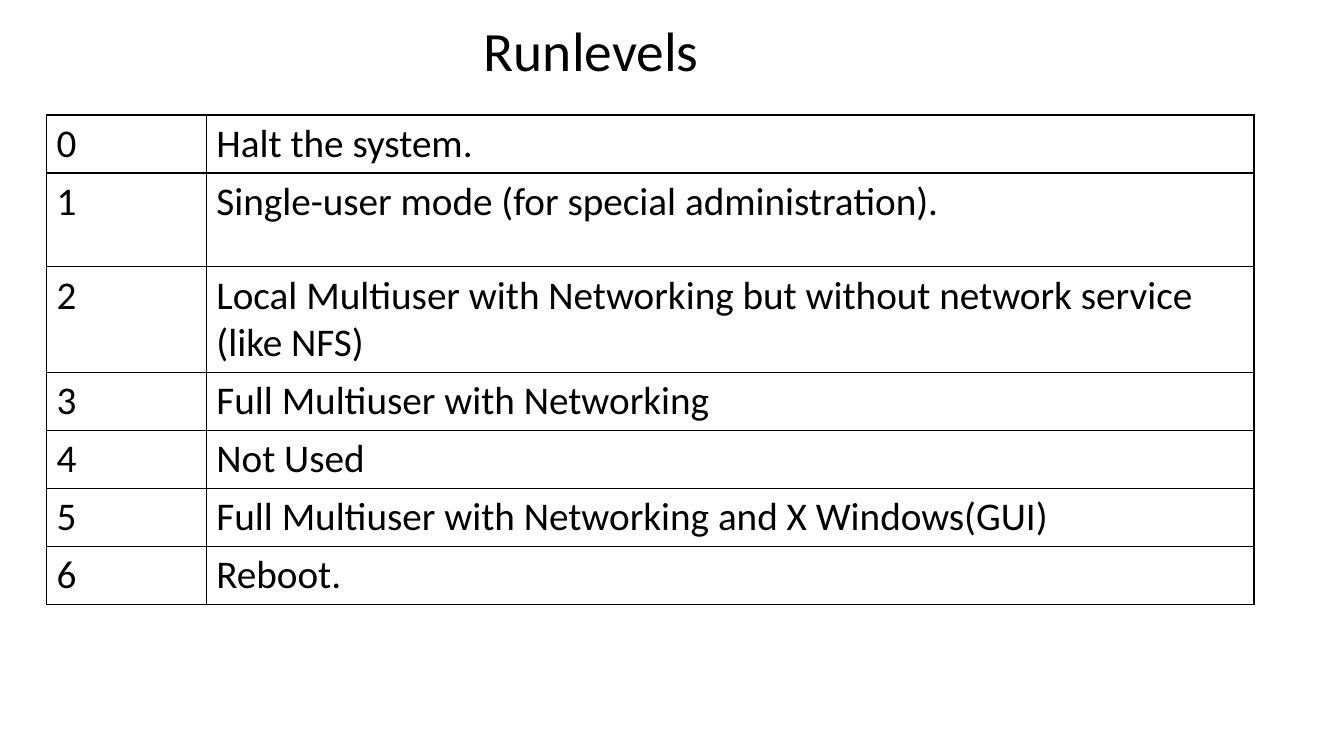
from typing import NamedTuple

from lxml.etree import SubElement
from pptx import Presentation
from pptx.dml.color import RGBColor
from pptx.enum.text import MSO_ANCHOR, PP_ALIGN
from pptx.oxml.ns import qn
from pptx.slide import Slide
from pptx.table import Table, _Cell
from pptx.text.text import _Paragraph
from pptx.util import Cm, Pt

BLACK = RGBColor(0x00, 0x00, 0x00)
TITLE_FORMAT = {"name": "Calibri", "size": Pt(39.6), "bold": False}
CELL_FORMAT = {"name": "Calibri", "size": Pt(28), "bold": False}
COLUMN_WIDTHS = (4.03, 26.4)
SINGLE, TALL, DOUBLE = 1.46, 2.36, 2.67


class Runlevel(NamedTuple):
    meaning: str
    height: float = SINGLE


RUNLEVELS = (
    Runlevel("Halt the system."),
    Runlevel("Single-user mode (for special administration).", TALL),
    Runlevel("Local Multiuser with Networking but without network service (like NFS)", DOUBLE),
    Runlevel("Full Multiuser with Networking"),
    Runlevel("Not Used"),
    Runlevel("Full Multiuser with Networking and X Windows(GUI)"),
    Runlevel("Reboot."),
)


def write(para: _Paragraph, text: str, text_format: dict) -> None:
    span = para.add_run()
    span.text = text
    for attribute, value in text_format.items():
        setattr(span.font, attribute, value)
    span.font.color.rgb = BLACK


def add_borders(cell: _Cell) -> None:
    properties = cell._tc.get_or_add_tcPr()
    for side in ("lnL", "lnR", "lnT", "lnB"):
        line = SubElement(properties, qn(f"a:{side}"), w=str(Pt(1)))
        fill = SubElement(line, qn("a:solidFill"))
        SubElement(fill, qn("a:srgbClr"), val=str(BLACK))


def draw_title(page: Slide) -> None:
    box = page.shapes.add_textbox(Cm(1.83), Cm(0.53), Cm(26.14), Cm(1.63))
    frame = box.text_frame
    frame.word_wrap = True
    frame.vertical_anchor = MSO_ANCHOR.MIDDLE
    para = frame.paragraphs[0]
    para.alignment = PP_ALIGN.CENTER
    para.line_spacing = 0.9
    write(para, "Runlevels", TITLE_FORMAT)


def draw_row(table: Table, number: int, level: Runlevel) -> None:
    table.rows[number].height = Cm(level.height)
    for column, text in enumerate((str(number), level.meaning)):
        cell = table.cell(number, column)
        write(cell.text_frame.paragraphs[0], text, CELL_FORMAT)
        # Borders come before the fill in the cell properties
        add_borders(cell)
        cell.fill.background()


def draw_table(page: Slide) -> None:
    height = sum(level.height for level in RUNLEVELS)
    frame = page.shapes.add_table(
        len(RUNLEVELS), len(COLUMN_WIDTHS),
        Cm(1.17), Cm(2.9), Cm(sum(COLUMN_WIDTHS)), Cm(height))
    table = frame.table
    table.first_row = False
    table.horz_banding = False
    for column, width in zip(table.columns, COLUMN_WIDTHS):
        column.width = Cm(width)
    for number, level in enumerate(RUNLEVELS):
        draw_row(table, number, level)


def main() -> None:
    deck = Presentation()
    deck.slide_width, deck.slide_height = Cm(33.87), Cm(19.05)
    page = deck.slides.add_slide(deck.slide_layouts[6])
    # Heading
    draw_title(page)
    # Runlevel numbers and meanings
    draw_table(page)
    deck.save("out.pptx")


if __name__ == "__main__":
    main()
